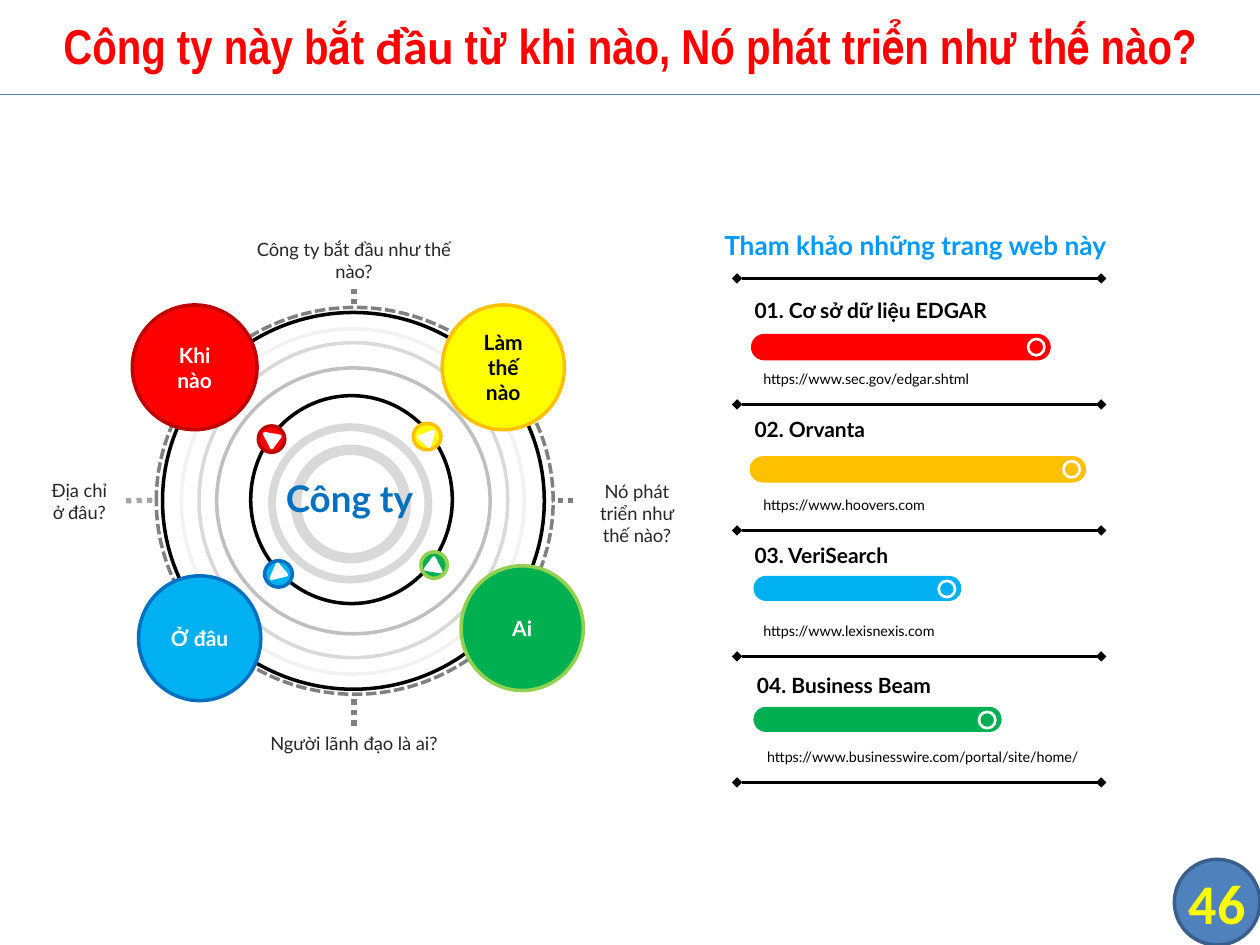
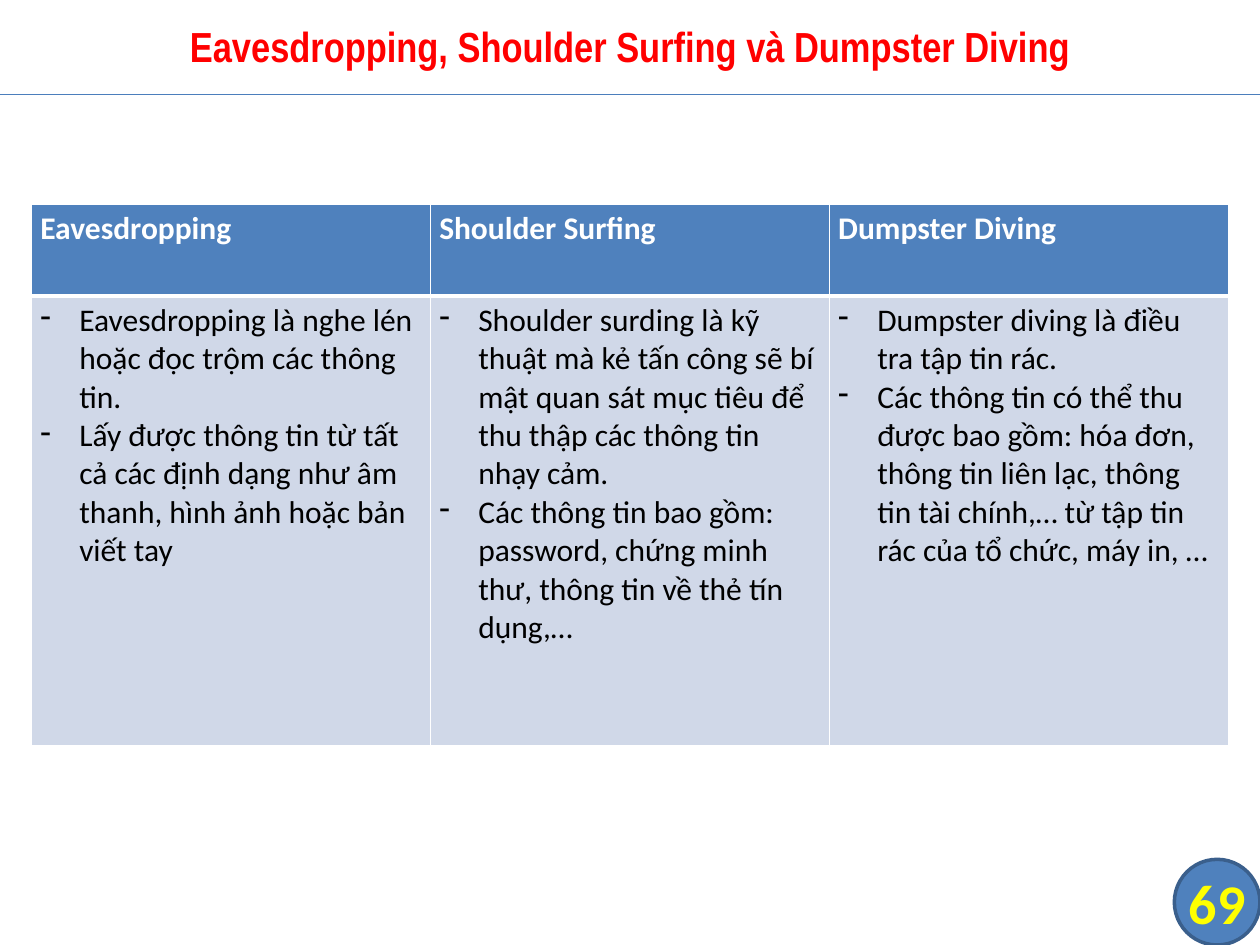
from dataclasses import dataclass
from typing import NamedTuple, Optional

from lxml.etree import SubElement
from pptx import Presentation
from pptx.dml.color import RGBColor
from pptx.enum.dml import MSO_LINE
from pptx.enum.shapes import MSO_CONNECTOR, MSO_SHAPE
from pptx.enum.text import MSO_ANCHOR, MSO_AUTO_SIZE, PP_ALIGN
from pptx.oxml.ns import qn
from pptx.util import Inches, Pt

COLORS = {
    "white": "FFFFFF", "black": "000000", "ink": "262626",
    "red": "FF0000", "dark_red": "C00000", "yellow": "FFFF00", "amber": "FFC000",
    "green": "00B050", "lime": "92D050", "sky": "00B0F0", "blue": "0070C0",
    "heading": "0099FF", "accent": "4F81BD", "accent_edge": "3A5F8C",
    "rule": "4B7EBC", "table_body": "D0D8E8",
    "gray_light": "F2F2F2", "gray_soft": "D9D9D9", "gray_mid": "BFBFBF",
    "gray_leader": "A6A6A6", "gray_dark": "808080",
}
NARROW, BODY, LATO = "Arial Narrow", "Calibri", "Lato"


class Box(NamedTuple):
    left: float
    top: float
    width: float
    height: float


class Ring(NamedTuple):
    box: Box
    color: str
    weight: float = 2
    dash: Optional[MSO_LINE] = None


@dataclass
class Topic:
    name: str
    circle: Box
    marker: Box
    arrow: Box
    arrow_angle: float
    fill: str
    edge: str
    name_color: str = "white"


@dataclass
class Question:
    text: str
    box: Box
    start: tuple[float, float]
    end: tuple[float, float]
    side: Optional[int]
    color: str = "gray_dark"


@dataclass
class Website:
    name: str
    url: str
    name_box: Box
    url_width: float
    bar: Box
    color: str
    indent: float = 0


RINGS = [
    Ring(Box(1.99, 3.14, 1.6, 1.65), "black"),
    Ring(Box(2.16, 3.39, 1.24, 1.21), "gray_soft", 4.5),
    Ring(Box(2.35, 3.57, 0.87, 0.86), "gray_soft", 6),
    Ring(Box(1.29, 2.48, 3.03, 2.99), "black"),
    Ring(Box(1.58, 2.72, 2.45, 2.5), "gray_soft"),
    Ring(Box(1.44, 2.61, 2.72, 2.74), "gray_light"),
    Ring(Box(1.72, 2.92, 2.17, 2.11), "gray_mid"),
    Ring(Box(1.24, 2.44, 3.15, 3.07), "gray_dark", 2, MSO_LINE.SQUARE_DOT),
]
TOPICS = [
    Topic("Làm thế nào", Box(3.51, 2.42, 0.97, 0.99), Box(3.28, 3.36, 0.22, 0.21),
          Box(3.35, 3.41, 0.11, 0.11), 42.5, "yellow", "amber", "black"),
    Topic("Ai", Box(3.66, 4.49, 0.97, 0.99), Box(3.34, 4.38, 0.21, 0.21),
          Box(3.4, 4.45, 0.11, 0.11), 126.4, "green", "lime"),
    Topic("Ở đâu", Box(1.1, 4.57, 0.97, 0.99), Box(2.1, 4.45, 0.22, 0.21),
          Box(2.14, 4.5, 0.11, 0.11), 230.2, "sky", "blue"),
    Topic("Khi nào", Box(1.05, 2.42, 0.99, 0.99), Box(2.05, 3.38, 0.21, 0.21),
          Box(2.09, 3.42, 0.11, 0.11), 306.4, "red", "dark_red"),
]
QUESTIONS = [
    Question("Công ty bắt đầu như thế nào?", Box(1.91, 1.84, 1.8, 0.45),
             (2.81, 2.29), (2.81, 2.44), 2),
    Question("Địa chỉ ở đâu?", Box(0.26, 3.75, 0.74, 0.45),
             (1, 3.97), (1.24, 3.97), 3, "gray_leader"),
    Question("Người lãnh đạo là ai?", Box(2.02, 5.76, 1.58, 0.28),
             (2.81, 5.76), (2.81, 5.51), 0),
    Question("Nó phát triển như thế nào?", Box(4.55, 3.76, 1.01, 0.63),
             (4.55, 3.97), (4.38, 3.97), None),
]
WEBSITES = [
    Website("Cơ sở dữ liệu EDGAR", "https://www.sec.gov/edgar.shtml",
            Box(5.89, 2.31, 2.25, 0.3), 1.91, Box(5.96, 2.65, 2.38, 0.21), "red"),
    Website("Orvanta", "https://www.hoovers.com",
            Box(5.89, 3.26, 1.21, 0.3), 1.53, Box(5.95, 3.62, 2.67, 0.21), "amber"),
    Website("VeriSearch", "https://www.lexisnexis.com",
            Box(5.89, 4.26, 1.42, 0.3), 1.61, Box(5.98, 4.57, 1.65, 0.2), "sky"),
    Website("Business Beam", "https://www.businesswire.com/portal/site/home/",
            Box(5.91, 5.29, 1.7, 0.3), 2.71, Box(5.98, 5.61, 1.97, 0.2), "green", 0.03),
]
TECHNIQUES = {
    "Eavesdropping": [
        "Eavesdropping là nghe lén hoặc đọc trộm các thông tin.",
        "Lấy được thông tin từ tất cả các định dạng như âm thanh, hình ảnh hoặc bản viết tay",
    ],
    "Shoulder Surfing": [
        "Shoulder surding là kỹ thuật mà kẻ tấn công sẽ bí mật quan sát mục tiêu "
        "để thu thập các thông tin nhạy cảm.",
        "Các thông tin bao gồm: password, chứng minh thư, thông tin về thẻ tín dụng,…",
    ],
    "Dumpster Diving": [
        "Dumpster diving là điều tra tập tin rác.",
        "Các thông tin có thể thu được bao gồm: hóa đơn, thông tin liên lạc, "
        "thông tin tài chính,… từ tập tin rác của tổ chức, máy in, …",
    ],
}


def rgb(color: str) -> RGBColor:
    return RGBColor.from_string(COLORS[color])


def inches(values) -> list:
    return [Inches(value) for value in values]


def set_font(font, name: str, size: float, color: str, bold: bool = False) -> None:
    font.name, font.size, font.bold = name, Pt(size), bold
    font.color.rgb = rgb(color)


def add_figure(slide, kind, box: Box, fill: Optional[str] = None,
               edge: Optional[str] = None, weight: float = 2):
    """Add a flat preset shape; without a fill or an edge that part stays empty."""
    figure = slide.shapes.add_shape(kind, *inches(box))
    figure.shadow.inherit = False
    if fill:
        figure.fill.solid()
        figure.fill.fore_color.rgb = rgb(fill)
    else:
        figure.fill.background()
    if edge:
        figure.line.color.rgb = rgb(edge)
        figure.line.width = Pt(weight)
    else:
        figure.line.fill.background()
    return figure


def write_centered(figure, text: str, font: str, size: float, color: str) -> None:
    figure.text_frame.vertical_anchor = MSO_ANCHOR.MIDDLE
    paragraph = figure.text_frame.paragraphs[0]
    paragraph.text = text
    paragraph.alignment = PP_ALIGN.CENTER
    set_font(paragraph.font, font, size, color, True)


def add_label(slide, text: str, box: Box, size: float, color: str, bold: bool = False,
              wrap: bool = False, align=PP_ALIGN.LEFT):
    label = slide.shapes.add_textbox(*inches(box))
    frame = label.text_frame
    frame.word_wrap = wrap
    frame.auto_size = MSO_AUTO_SIZE.SHAPE_TO_FIT_TEXT
    paragraph = frame.paragraphs[0]
    paragraph.text = text
    paragraph.alignment = align
    set_font(paragraph.font, LATO, size, color, bold)
    return label


def add_line(slide, start, end, color: str, weight: float):
    line = slide.shapes.add_connector(MSO_CONNECTOR.STRAIGHT, *inches((*start, *end)))
    line.line.color.rgb = rgb(color)
    line.line.width = Pt(weight)
    SubElement(line._element.spPr, qn("a:effectLst"))
    return line


def add_divider(slide, top: float) -> None:
    """Draw a horizontal line with a diamond at each end."""
    divider = add_line(slide, (5.85, top), (8.74, top), "black", 1.5)
    outline = divider.line._get_or_add_ln()
    for tag in ("a:headEnd", "a:tailEnd"):
        SubElement(outline, qn(tag), type="diamond")


def add_titled_slide(deck, title_runs, title_size: float, number: int):
    """Add a slide with the shared title, rule and page badge."""
    slide = deck.slides.add_slide(deck.slide_layouts[5])
    badge = add_figure(slide, MSO_SHAPE.FLOWCHART_CONNECTOR,
                       Box(9.32, 6.82, 0.68, 0.68), "accent", "accent_edge")
    frame = badge.text_frame
    frame.margin_left = frame.margin_right = frame.margin_top = frame.margin_bottom = 0
    frame.word_wrap = False
    write_centered(badge, str(number), BODY, 32, "yellow")
    add_line(slide, (0, 0.75), (10, 0.75), "rule", 0.75)

    title = slide.shapes.title
    title.left, title.top, title.width, title.height = inches((0, -0.03, 10, 0.78))
    title.text_frame.auto_size = MSO_AUTO_SIZE.NONE
    title.text_frame.vertical_anchor = MSO_ANCHOR.MIDDLE
    paragraph = title.text_frame.paragraphs[0]
    paragraph.alignment = PP_ALIGN.CENTER
    for text, font in title_runs:
        run = paragraph.add_run()
        run.text = text
        set_font(run.font, font, title_size, "red", True)
    return slide


def add_company_wheel(slide) -> None:
    for ring in RINGS:
        circle = add_figure(slide, MSO_SHAPE.OVAL, ring.box, None, ring.color, ring.weight)
        if ring.dash:
            circle.line.dash_style = ring.dash
    for topic in TOPICS:
        circle = add_figure(slide, MSO_SHAPE.OVAL, topic.circle, topic.fill, topic.edge)
        write_centered(circle, topic.name, LATO, 12, topic.name_color)
        add_figure(slide, MSO_SHAPE.OVAL, topic.marker, topic.fill, topic.edge)
        arrow = add_figure(slide, MSO_SHAPE.FLOWCHART_EXTRACT, topic.arrow, "white", "white")
        arrow.rotation = topic.arrow_angle
    add_label(slide, "Công ty", Box(2.17, 3.73, 1.33, 0.45), 21, "blue", True)
    for question in QUESTIONS:
        label = add_label(slide, question.text, question.box, 10.5, "ink",
                          wrap=True, align=PP_ALIGN.CENTER)
        leader = add_line(slide, question.start, question.end, question.color, 3)
        leader.line.dash_style = MSO_LINE.ROUND_DOT
        if question.side is not None:
            leader.begin_connect(label, question.side)


def add_website_list(slide) -> None:
    add_label(slide, "Tham khảo những trang web này", Box(5.65, 1.77, 3.7, 0.35),
              15, "heading", True)
    for row, site in enumerate(WEBSITES):
        add_label(slide, f"{row + 1:02}. {site.name}", site.name_box, 12, "black", True)
        add_label(slide, site.url, Box(5.96 + site.indent, 2.89 + row, site.url_width, 0.24),
                  8.2, "black")
        bar = add_figure(slide, MSO_SHAPE.ROUNDED_RECTANGLE, site.bar, site.color)
        bar.adjustments[0] = 0.5
        knob = Box(site.bar.left + site.bar.width - 0.18, site.bar.top + 0.04, 0.13, 0.13)
        add_figure(slide, MSO_SHAPE.OVAL, knob, None, "white", 1.5)
    for row in range(len(WEBSITES) + 1):
        add_divider(slide, 2.21 + row)


def format_cell(cell, fill: str, top: float, bottom: float) -> None:
    """Set margins, white borders (top and bottom in points) and fill."""
    cell.margin_left = cell.margin_right = Inches(0.07)
    cell.margin_top = cell.margin_bottom = Inches(0.04)
    properties = cell._tc.get_or_add_tcPr()
    for side, weight in (("L", 1), ("R", 1), ("T", top), ("B", bottom)):
        border = SubElement(properties, qn(f"a:ln{side}"), w=str(Pt(weight)))
        paint = SubElement(border, qn("a:solidFill"))
        SubElement(paint, qn("a:srgbClr"), val=COLORS["white"])
    cell.fill.solid()
    cell.fill.fore_color.rgb = rgb(fill)


def add_dash_bullet(paragraph) -> None:
    properties = paragraph._p.get_or_add_pPr()
    properties.set("marL", str(Inches(0.31)))
    properties.set("indent", str(-Inches(0.31)))
    SubElement(properties, qn("a:buChar"), char="-")


def add_technique_table(slide) -> None:
    table = slide.shapes.add_table(2, len(TECHNIQUES), *inches((0.25, 1.62, 9.5, 4.3))).table
    table.rows[0].height, table.rows[1].height = inches((0.73, 3.57))
    for column, (name, points) in enumerate(TECHNIQUES.items()):
        heading, details = table.cell(0, column), table.cell(1, column)
        format_cell(heading, "accent", 1, 3)
        heading.text = name
        set_font(heading.text_frame.paragraphs[0].font, BODY, 18, "white", True)
        format_cell(details, "table_body", 3, 1)
        details.text = "\n".join(points)
        for paragraph in details.text_frame.paragraphs:
            add_dash_bullet(paragraph)
            set_font(paragraph.font, BODY, 18, "black")


def main() -> None:
    deck = Presentation()
    deck.slide_width, deck.slide_height = inches((10, 7.5))

    company = add_titled_slide(deck, [
        ("Công ty này bắt ", NARROW), ("đầu ", BODY),
        ("từ khi nào, Nó phát triển như thế nào?", NARROW)], 28, 46)
    add_company_wheel(company)
    add_website_list(company)

    techniques = add_titled_slide(
        deck, [("Eavesdropping, Shoulder Surfing và Dumpster Diving", NARROW)], 24, 69)
    add_technique_table(techniques)
    deck.save("out.pptx")


if __name__ == "__main__":
    main()
